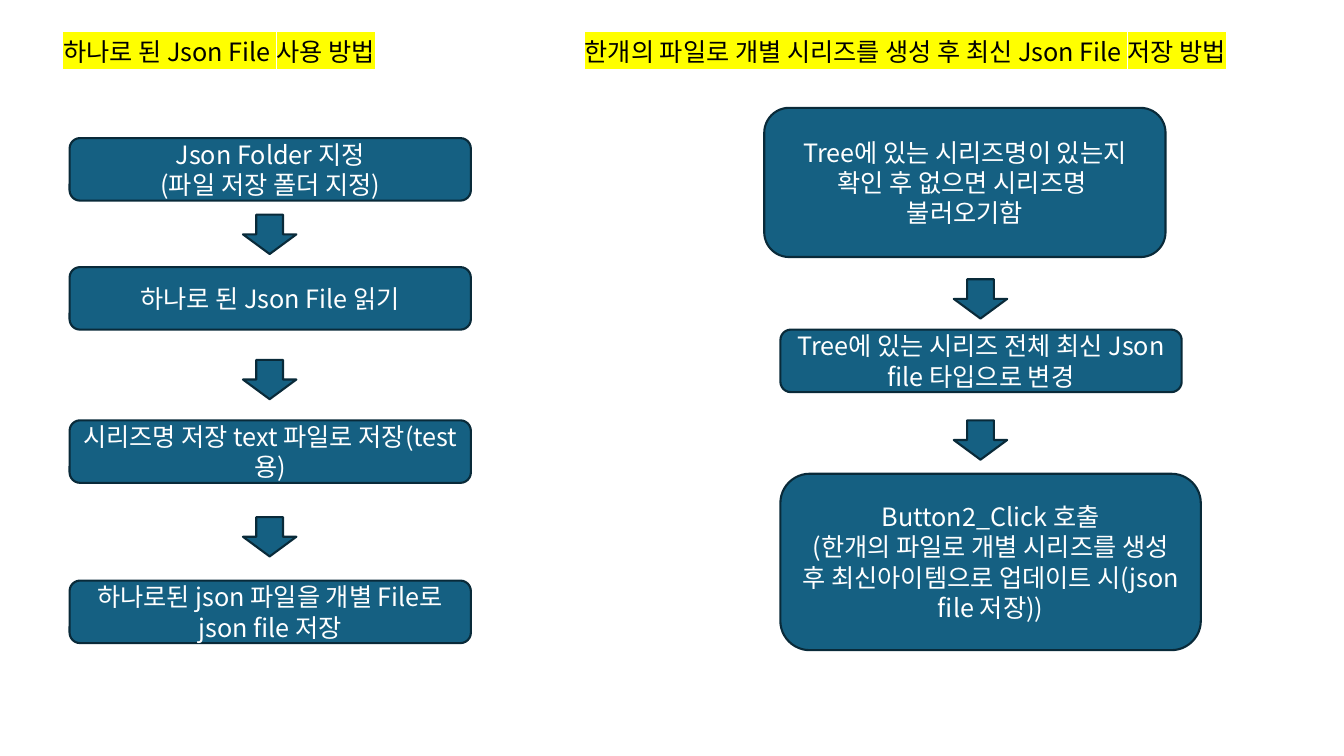
"""Build a slide with two flowcharts about reading and saving Json files."""
from lxml.etree import SubElement
from pptx import Presentation
from pptx.dml.color import RGBColor
from pptx.enum.shapes import MSO_SHAPE
from pptx.enum.text import MSO_ANCHOR, MSO_AUTO_SIZE, PP_ALIGN
from pptx.oxml.ns import qn
from pptx.util import Inches, Pt

FONT = "Noto Sans CJK KR"
STEP_FILL, STEP_LINE = "156082", "092A39"
HEADING_COLOR, STEP_COLOR, HIGHLIGHT = "000000", "FFFFFF", "FFFF00"
HEADING_TOP, HEADING_HEIGHT = 0.31, 0.4
STEP_WIDTH, STEP_HEIGHT = 3.98, 0.62
ARROW_WIDTH, ARROW_HEIGHT = 0.53, 0.39

FLOWS = [
    {
        "heading": ("하나로 된 Json File 사용 방법", 0.53, 3.55),
        "steps": [
            (0.69, 1.37, STEP_WIDTH, STEP_HEIGHT, ["Json Folder 지정", "(파일 저장 폴더 지정)"]),
            (0.69, 2.65, STEP_WIDTH, STEP_HEIGHT, ["하나로 된 Json File 읽기"]),
            (0.69, 4.17, STEP_WIDTH, STEP_HEIGHT, ["시리즈명 저장 text 파일로 저장(test용)"]),
            (0.69, 5.76, STEP_WIDTH, STEP_HEIGHT, ["하나로된 json 파일을 개별 File로 json file 저장"]),
        ],
        "arrow_left": 2.41,
        "arrow_tops": [2.13, 3.57, 5.13],
    },
    {
        "heading": ("한개의 파일로 개별 시리즈를 생성 후 최신 Json File 저장 방법", 5.7, 7.28),
        "steps": [
            (7.58, 1.07, STEP_WIDTH, 1.48,
             ["Tree에 있는 시리즈명이 있는지 확인 후 없으면 시리즈명 ", "불러오기함"]),
            (7.74, 3.27, STEP_WIDTH, STEP_HEIGHT, ["Tree에 있는 시리즈 전체 최신 Json file 타입으로 변경"]),
            (7.74, 4.7, 4.17, 1.75,
             ["Button2_Click 호출",
              "(한개의 파일로 개별 시리즈를 생성 후 최신아이템으로 업데이트 시(json file 저장))"]),
        ],
        "arrow_left": 9.46,
        "arrow_tops": [2.77, 4.17],
    },
]


def color(value):
    return RGBColor.from_string(value)


def add_run(paragraph, text, text_color):
    run = paragraph.add_run()
    run.text = text
    run.font.size = Pt(18)
    run.font.color.rgb = color(text_color)
    run.font.name = FONT
    properties = run.font._element
    SubElement(properties, qn("a:ea")).set("typeface", FONT)
    return properties


def add_heading(slide, text, left, width):
    box = slide.shapes.add_textbox(
        Inches(left), Inches(HEADING_TOP), Inches(width), Inches(HEADING_HEIGHT))
    frame = box.text_frame
    frame.word_wrap = False
    frame.auto_size = MSO_AUTO_SIZE.SHAPE_TO_FIT_TEXT
    properties = add_run(frame.paragraphs[0], text, HEADING_COLOR)
    highlight = SubElement(properties, qn("a:highlight"))
    SubElement(highlight, qn("a:srgbClr")).set("val", HIGHLIGHT)
    properties.find(qn("a:solidFill")).addnext(highlight)


def add_block(slide, kind, left, top, width, height):
    shape = slide.shapes.add_shape(
        kind, Inches(left), Inches(top), Inches(width), Inches(height))
    shape.shadow.inherit = False
    shape.fill.solid()
    shape.fill.fore_color.rgb = color(STEP_FILL)
    shape.line.color.rgb = color(STEP_LINE)
    shape.line.width = Pt(1.5)
    return shape


def add_step(slide, left, top, width, height, lines):
    shape = add_block(slide, MSO_SHAPE.ROUNDED_RECTANGLE, left, top, width, height)
    frame = shape.text_frame
    frame.word_wrap = True
    frame.vertical_anchor = MSO_ANCHOR.MIDDLE
    for index, line in enumerate(lines):
        paragraph = frame.add_paragraph() if index else frame.paragraphs[0]
        paragraph.alignment = PP_ALIGN.CENTER
        add_run(paragraph, line, STEP_COLOR)


def main():
    presentation = Presentation()
    presentation.slide_width = Inches(13.33)
    presentation.slide_height = Inches(7.5)
    slide = presentation.slides.add_slide(presentation.slide_layouts[6])
    for flow in FLOWS:
        add_heading(slide, *flow["heading"])
        for step in flow["steps"]:
            add_step(slide, *step)
        for top in flow["arrow_tops"]:
            add_block(slide, MSO_SHAPE.DOWN_ARROW, flow["arrow_left"], top,
                      ARROW_WIDTH, ARROW_HEIGHT)
    presentation.save("out.pptx")


if __name__ == "__main__":
    main()
